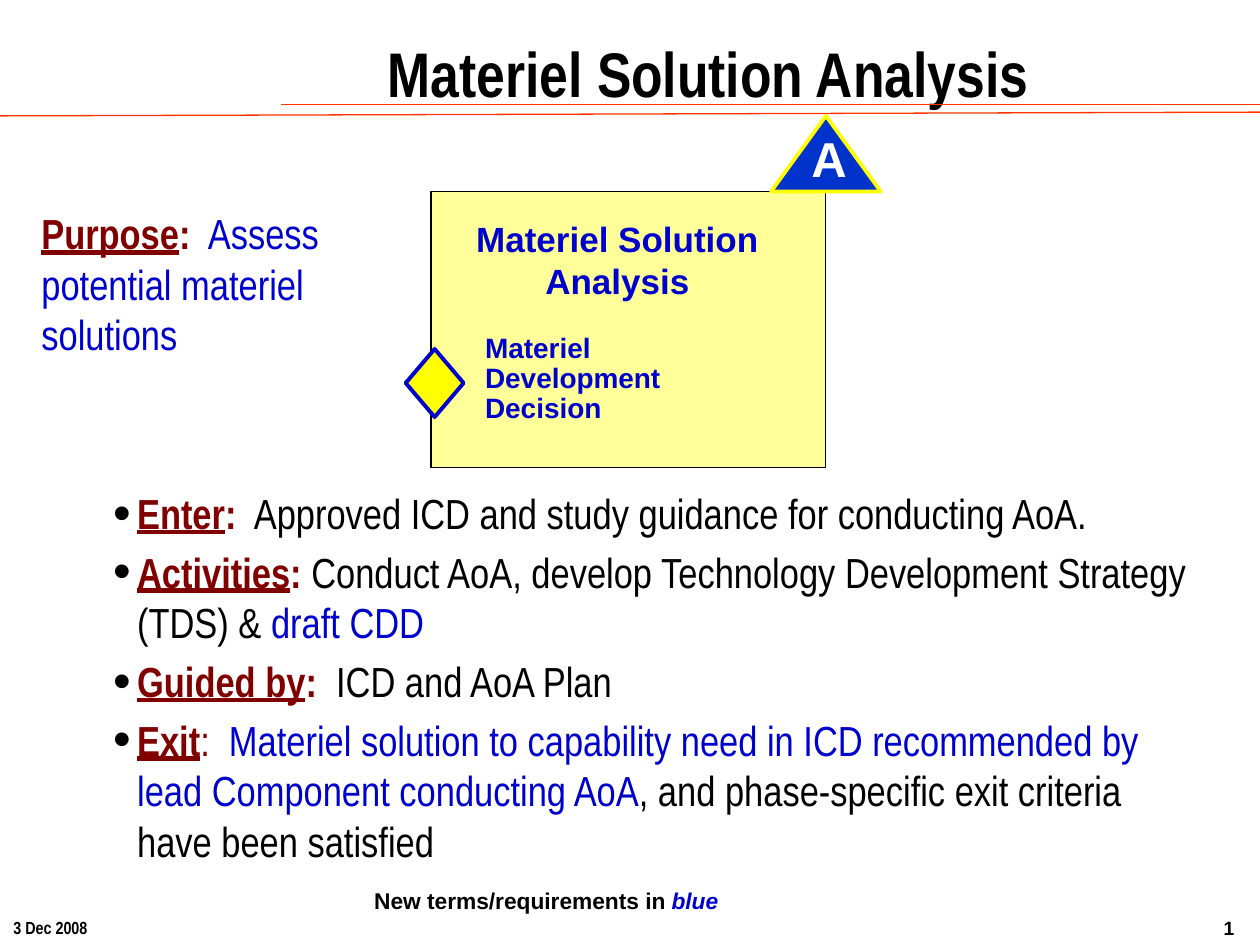
from lxml import etree
from pptx import Presentation
from pptx.dml.color import RGBColor
from pptx.enum.shapes import MSO_CONNECTOR, MSO_SHAPE
from pptx.enum.text import MSO_ANCHOR, MSO_AUTO_SIZE, PP_ALIGN
from pptx.oxml.ns import qn
from pptx.util import Inches, Pt

LEFT, CENTER = PP_ALIGN.LEFT, PP_ALIGN.CENTER
TOP = MSO_ANCHOR.TOP
STRAIGHT = MSO_CONNECTOR.STRAIGHT
RECT, DIAMOND, TRIANGLE = MSO_SHAPE.RECTANGLE, MSO_SHAPE.DIAMOND, MSO_SHAPE.ISOSCELES_TRIANGLE
SANS, NARROW = "Arial", "Arial Narrow"
COLORS = {"black": "000000", "white": "FFFFFF", "rule": "FF3300", "maroon": "800000",
          "blue": "0000CC", "milestone": "0033CC", "yellow": "FFFF00", "phase": "FFFF99"}


def rgb(name):
    return RGBColor.from_string(COLORS[name])


def add_run(p, text, size=24, font=NARROW, color="black", bold=False, italic=False, underline=False):
    r = p.add_run()
    r.text = text
    f = r.font
    f.size, f.name, f.bold, f.italic, f.underline = Pt(size), font, bold, italic, underline
    f.color.rgb = rgb(color)


def label(text):
    """Underlined maroon heading followed by a plain bold colon."""
    return [(text, dict(color="maroon", bold=True, underline=True)),
            (":", dict(color="maroon", bold=True))]


class SlideBuilder:
    def __init__(self, prs):
        self.s = prs.slides.add_slide(prs.slide_layouts[5])

    def fill_text(self, sp, paragraphs, align=LEFT, wrap=True, inset=True,
                  spacing=1.0, after=0, bullets=False):
        tf = sp.text_frame
        tf.word_wrap, tf.auto_size, tf.vertical_anchor = wrap, MSO_AUTO_SIZE.NONE, TOP
        tf.margin_left = tf.margin_right = Inches(0.1 if inset else 0)
        tf.margin_top = tf.margin_bottom = Inches(0.05 if inset else 0)
        for i, runs in enumerate(paragraphs):
            p = tf.add_paragraph() if i else tf.paragraphs[0]
            p.alignment, p.line_spacing = align, spacing
            p.space_before, p.space_after = Pt(0), Pt(after)
            if bullets:
                self.bullet(p)
            for text, style in runs:
                add_run(p, text, **style)

    def bullet(self, p):
        pPr = p._p.get_or_add_pPr()
        pPr.set("marL", str(Inches(0.19)))
        pPr.set("indent", str(Inches(-0.19)))
        color = etree.SubElement(pPr, qn("a:buClr"))
        etree.SubElement(color, qn("a:srgbClr"), val=COLORS["black"])
        etree.SubElement(pPr, qn("a:buSzPct"), val="120000")
        etree.SubElement(pPr, qn("a:buFont"), typeface=SANS)
        etree.SubElement(pPr, qn("a:buChar"), char="•")

    def title(self, box, text):
        sp = self.s.shapes.title
        sp.left, sp.top, sp.width, sp.height = map(Inches, box)
        self.fill_text(sp, [[(text, dict(size=36, bold=True))]], align=CENTER, wrap=False)

    def text(self, box, paragraphs, **layout):
        self.fill_text(self.s.shapes.add_textbox(*map(Inches, box)), paragraphs, **layout)

    def shape(self, kind, box, fill, line, width):
        sp = self.s.shapes.add_shape(kind, *map(Inches, box))
        sp.shadow.inherit = False
        sp.fill.solid()
        sp.fill.fore_color.rgb = rgb(fill)
        sp.line.color.rgb = rgb(line)
        sp.line.width = Pt(width)

    def line(self, ends, color, width):
        cn = self.s.shapes.add_connector(STRAIGHT, *map(Inches, ends))
        cn.line.color.rgb = rgb(color)
        cn.line.width = Pt(width)
        etree.SubElement(cn._element.spPr, qn("a:effectLst"))


prs = Presentation()
prs.slide_width, prs.slide_height = Inches(10), Inches(7.5)
b = SlideBuilder(prs)

# Header rules and title
b.line((10, 0.83, 2.23, 0.83), "rule", 0.5)
b.line((0, 0.92, 10, 0.89), "rule", 0.75)
b.title((2.95, 0.22, 5.34, 0.71), "Materiel Solution Analysis")

# Phase box with its decision point
heading = dict(size=20, font=SANS, color="blue", bold=True)
decision = dict(heading, size=16)
b.shape(RECT, (3.42, 1.52, 3.13, 2.19), "phase", "black", 0.75)
b.text((3.36, 1.73, 3.08, 0.67), [[(t, heading)] for t in ("Materiel Solution", "Analysis")],
       align=CENTER, inset=False)
b.shape(DIAMOND, (3.22, 2.77, 0.46, 0.54), "yellow", "blue", 2.25)
b.text((3.85, 2.65, 1.41, 0.73),
       [[(t, decision)] for t in ("Materiel", "Development", "Decision")],
       wrap=False, inset=False, spacing=0.9)

# Milestone A
b.shape(TRIANGLE, (6.12, 0.92, 0.87, 0.6), "milestone", "yellow", 2.13)
b.text((6.44, 1.02, 0.28, 0.47), [[("A", dict(size=28, font=SANS, color="white", bold=True))]],
       wrap=False, inset=False)

# Purpose and phase details
blue = dict(color="blue")
b.text((0.23, 1.6, 2.91, 1.31),
       [label("Purpose") + [("  Assess potential materiel solutions", blue)]])
b.text((0.8, 3.82, 8.84, 3.1), [
    label("Enter") + [("  Approved ICD and study guidance for conducting AoA.", {})],
    label("Activities") + [
        (" Conduct AoA, develop Technology Development Strategy (TDS) & ", {}),
        ("draft CDD", blue)],
    label("Guided by") + [("  ICD and AoA Plan", {})],
    label("Exit")[:1] + [
        (":  ", dict(color="maroon")),
        ("Materiel solution to capability need in ICD recommended by "
         "lead Component conducting AoA", blue),
        (", and phase-specific exit criteria have been satisfied", {})],
], after=4.8, bullets=True)

# Legend, date and slide number
legend = dict(size=13, font=SANS, bold=True)
b.text((2.85, 6.99, 2.97, 0.32),
       [[("New terms/requirements in ", legend), ("blue", dict(legend, color="blue", italic=True))]],
       align=CENTER, wrap=False)
b.text((0.01, 7.23, 0.78, 0.27), [[("3 Dec 2008", dict(size=10, bold=True))]],
       align=CENTER, wrap=False)
b.text((9.56, 7.22, 0.39, 0.28), [[("1", dict(size=11, font=SANS, bold=True))]],
       align=CENTER, wrap=False)

prs.save("out.pptx")
